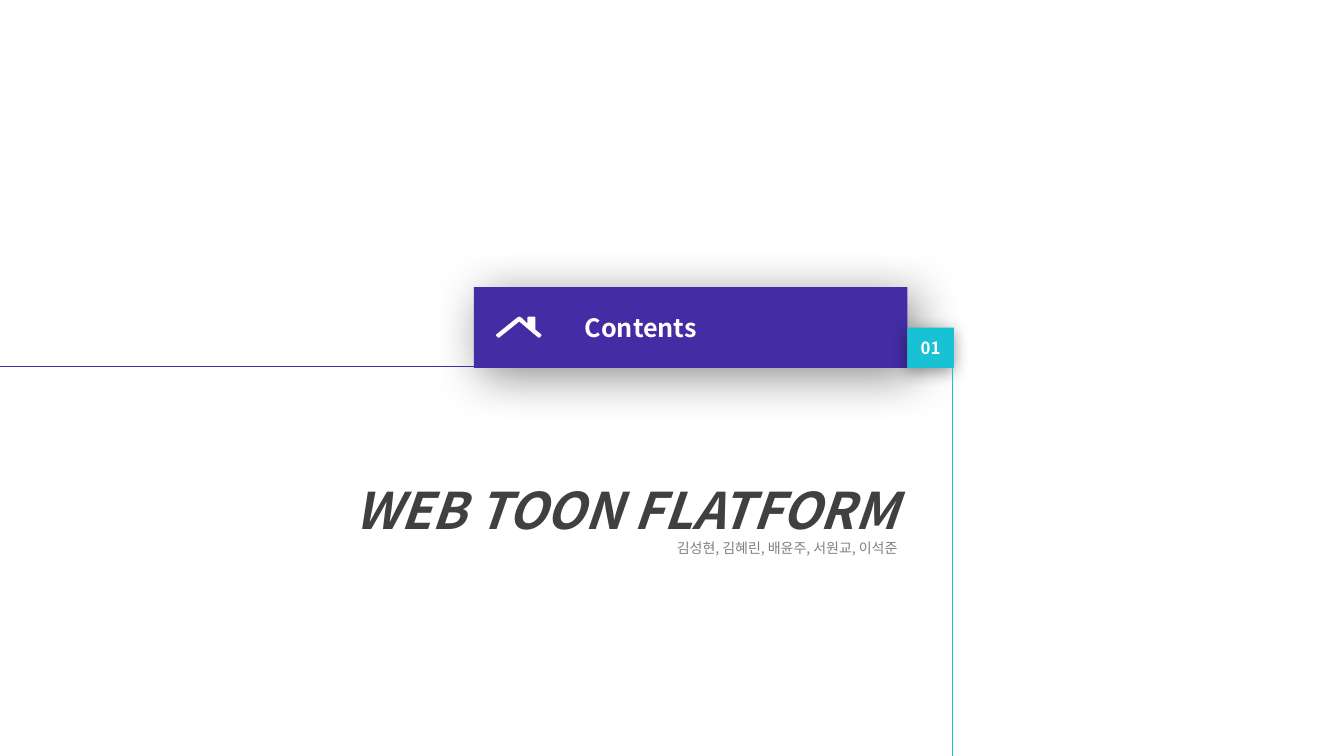
from dataclasses import dataclass

from lxml import etree
from pptx import Presentation
from pptx.dml.color import RGBColor
from pptx.enum.shapes import MSO_CONNECTOR, MSO_SHAPE
from pptx.enum.text import MSO_ANCHOR, MSO_AUTO_SIZE, PP_ALIGN
from pptx.oxml.ns import qn
from pptx.util import Inches, Pt

ROUNDED = MSO_SHAPE.ROUNDED_RECTANGLE
STRAIGHT = MSO_CONNECTOR.STRAIGHT
TOP, MIDDLE = MSO_ANCHOR.TOP, MSO_ANCHOR.MIDDLE
FIT_TEXT = MSO_AUTO_SIZE.SHAPE_TO_FIT_TEXT
LEFT, CENTER, RIGHT = PP_ALIGN.LEFT, PP_ALIGN.CENTER, PP_ALIGN.RIGHT

FONT = "Noto Sans CJK KR"
PURPLE, CYAN, WHITE = "442CA4", "18C1D4", "FFFFFF"
DARK, GRAY, BLACK = "404040", "808080", "000000"
COLUMNS, ROWS = 133.3, 75
TITLE_ONLY = 5
ROOF = [
    (537, 332), (531, 327), (531, 315), (530, 314), (524, 314), (523, 315),
    (523, 321), (517, 315), (515, 314), (513, 315), (492, 332), (492, 333),
    (494, 335), (495, 335), (515, 319), (534, 335), (535, 335), (537, 333),
]


@dataclass
class Shadow:
    opacity: int
    blur: float
    distance: float
    angle: int


@dataclass
class Label:
    text: str
    column: float
    row: float
    columns: float
    rows: float
    color: str
    size: float
    align: int
    wrap: bool
    indent: float
    level: int
    shadow: Shadow


@dataclass
class Rule:
    start: tuple[float, float]
    end: tuple[float, float]
    color: str


@dataclass
class Line:
    text: str
    size: float
    color: str
    emphasis: bool
    spacing: float


LABELS = [
    Label("Contents", 47, 28.5, 43, 8, PURPLE, 18, LEFT, True, 10, 2, Shadow(45, 35, 8, 45)),
    Label("01", 90, 32.5, 4.6, 4, CYAN, 12, CENTER, False, 0, 0, Shadow(40, 12, 3, 90)),
]
RULES = [
    Rule((94.5, 33.5), (94.5, ROWS), CYAN),
    Rule((0, 36.3), (59.1, 36.3), PURPLE),
]
HEADING = [
    Line("WEB TOON FLATFORM", 36, DARK, True, 1.5),
    Line("김성현, 김혜린, 배윤주, 서원교, 이석준", 10, GRAY, False, 1.0),
]


def grid(cells: float) -> int:
    return Inches(cells / 10)


def rgb(color: str) -> RGBColor:
    return RGBColor.from_string(color)


def style(paragraph, size: float, color: str, bold: bool, italic: bool) -> None:
    font = paragraph.font
    font.name, font.size, font.bold, font.italic = FONT, Pt(size), bold, italic
    font.color.rgb = rgb(color)
    properties = paragraph._p.pPr.find(qn("a:defRPr"))
    etree.SubElement(properties, qn("a:ea"), typeface=FONT)


def cast_shadow(shape, shadow: Shadow) -> None:
    effects = shape._element.spPr.find(qn("a:effectLst"))
    outer = etree.SubElement(
        effects, qn("a:outerShdw"), blurRad=str(Pt(shadow.blur)),
        dist=str(Pt(shadow.distance)), dir=str(shadow.angle * 60000),
        algn="ctr", rotWithShape="0")
    tint = etree.SubElement(outer, qn("a:srgbClr"), val=BLACK)
    etree.SubElement(tint, qn("a:alpha"), val=str(shadow.opacity * 1000))


def paint(shape, color: str) -> None:
    shape.shadow.inherit = False
    shape.fill.solid()
    shape.fill.fore_color.rgb = rgb(color)
    shape.line.fill.background()


def draw_label(slide, label: Label) -> None:
    box = slide.shapes.add_shape(
        ROUNDED, grid(label.column), grid(label.row), grid(label.columns), grid(label.rows))
    box.adjustments[0] = 0
    paint(box, label.color)
    cast_shadow(box, label.shadow)
    frame = box.text_frame
    frame.word_wrap = label.wrap
    frame.vertical_anchor = MIDDLE
    caption = frame.paragraphs[0]
    caption.text, caption.alignment, caption.level = label.text, label.align, label.level
    style(caption, label.size, WHITE, True, False)
    caption._p.pPr.set("marL", str(grid(label.indent)))
    caption._p.pPr.set("indent", "0")


def draw_roof(slide) -> None:
    outline = slide.shapes.build_freeform(*ROOF[0], scale=Inches(0.01))
    outline.add_line_segments(ROOF[1:], close=True)
    paint(outline.convert_to_shape(), WHITE)


def draw_rule(slide, rule: Rule) -> None:
    ends = [grid(value) for value in (*rule.start, *rule.end)]
    connector = slide.shapes.add_connector(STRAIGHT, *ends)
    connector.line.color.rgb = rgb(rule.color)
    connector.line.width = Pt(0.5)
    etree.SubElement(connector._element.spPr, qn("a:effectLst"))


def fill_heading(slide) -> None:
    heading = slide.shapes.title
    heading.left, heading.top = grid(19.6), grid(44)
    heading.width, heading.height = grid(70.4), grid(11.8)
    frame = heading.text_frame
    frame.word_wrap = True
    frame.vertical_anchor = TOP
    frame.auto_size = FIT_TEXT
    for index, line in enumerate(HEADING):
        paragraph = frame.add_paragraph() if index else frame.paragraphs[0]
        paragraph.text = line.text
        paragraph.alignment = RIGHT
        paragraph.line_spacing = line.spacing
        style(paragraph, line.size, line.color, line.emphasis, line.emphasis)


def main() -> None:
    deck = Presentation()
    deck.slide_width, deck.slide_height = grid(COLUMNS), grid(ROWS)
    slide = deck.slides.add_slide(deck.slide_layouts[TITLE_ONLY])
    fill_heading(slide)
    for label in LABELS:
        draw_label(slide, label)
    draw_roof(slide)
    for rule in RULES:
        draw_rule(slide, rule)
    deck.save("out.pptx")


if __name__ == "__main__":
    main()
